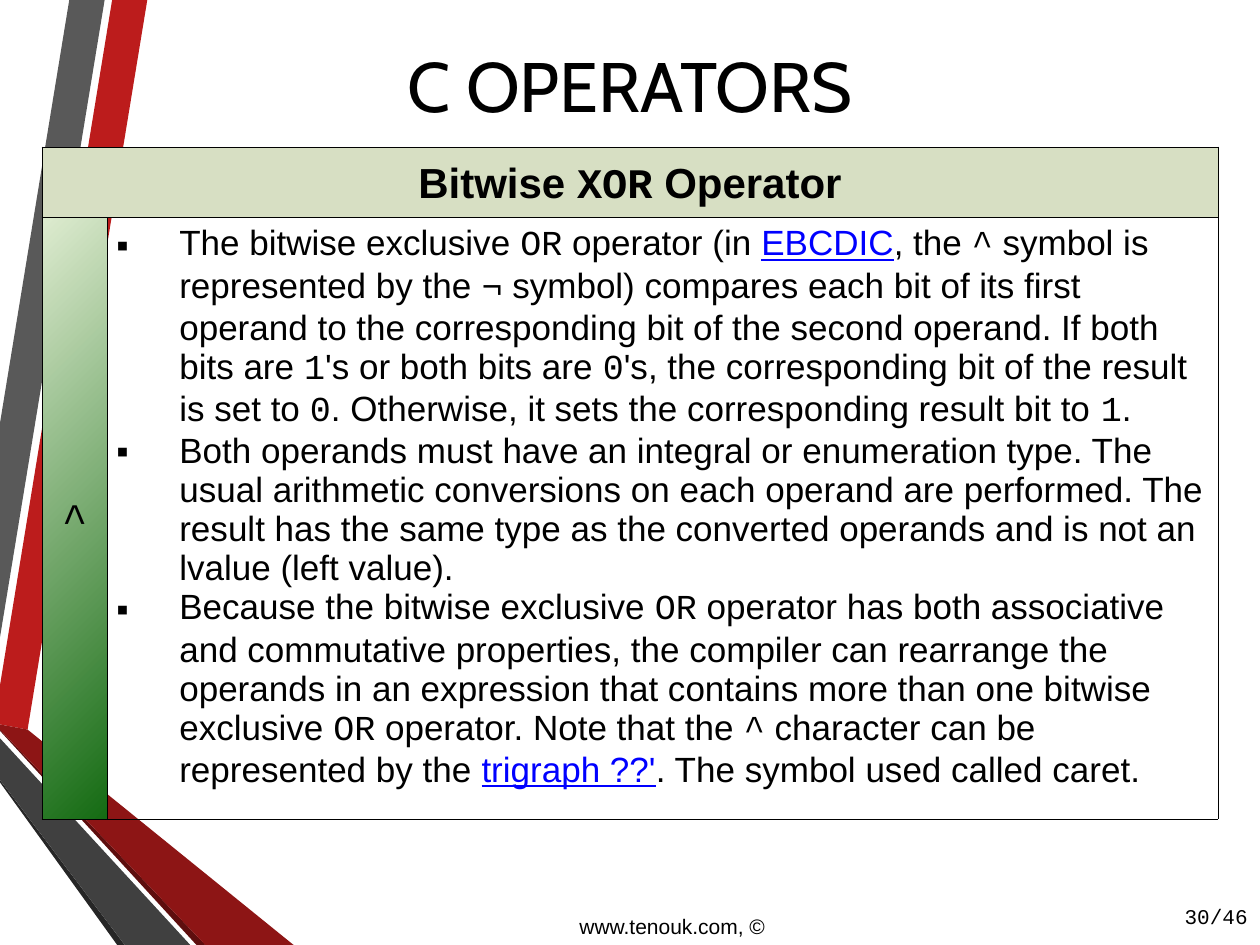
from dataclasses import dataclass

from lxml.etree import SubElement
from pptx import Presentation
from pptx.dml.color import RGBColor
from pptx.enum.text import MSO_ANCHOR, PP_ALIGN
from pptx.oxml import parse_xml
from pptx.oxml.ns import nsdecls, qn
from pptx.util import Pt


@dataclass(frozen=True)
class Theme:
    text: str = "000000"
    link: str = "0000FF"
    header: str = "D7DFC3"
    symbol_light: str = "DDEBCF"
    symbol_dark: str = "156B13"
    title_font: str = "Cabin"
    body_font: str = "Arial"
    code_font: str = "Courier New"
    title_size: int = 40
    header_size: int = 24
    body_size: int = 20
    footer_size: int = 12
    border_width: float = 0.45


THEME = Theme()

# Colour and outline of each ribbon, in points from the slide's top left corner
RIBBONS = [
    ("BC1C1C", [(0, 391.7), (0, 414), (15.8, 416.9), (84.2, 0), (64.1, 0)]),
    ("595959", [(59.8, 0), (39.6, 0), (0, 241.9), (0, 364.3)]),
    ("262626", [(0, 445.7), (0, 447.1), (67, 540), (71.3, 540)]),
    ("5E0E0E", [(0, 416.9), (0, 417.6), (112.3, 540), (117.4, 540)]),
    ("8D1515", [(0, 416.9), (117.4, 540), (167.8, 540), (15.8, 416.9), (0, 414)]),
    ("404040", [(0, 445.7), (71.3, 540), (108.7, 540), (0, 421.9)]),
]

# Backticks enclose code, tildes enclose links
HEADER = "Bitwise `XOR` Operator"
SYMBOL = "`^`"
POINTS = [
    "The bitwise exclusive `OR` operator (in ~EBCDIC~, the `^` symbol is represented "
    "by the `¬` symbol) compares each bit of its first operand to the corresponding "
    "bit of the second operand. If both bits are `1`'s or both bits are `0`'s, the "
    "corresponding bit of the result is set to `0`. Otherwise, it sets the "
    "corresponding result bit to `1`.",
    "Both operands must have an integral or enumeration type. The usual arithmetic "
    "conversions on each operand are performed. The result has the same type as the "
    "converted operands and is not an lvalue (left value).",
    "Because the bitwise exclusive `OR` operator has both associative and commutative "
    "properties, the compiler can rearrange the operands in an expression that "
    "contains more than one bitwise exclusive `OR` operator. Note that the `^` "
    "character can be represented by the ~trigraph ??'~. The symbol used called caret.",
]


def color(value):
    return RGBColor.from_string(value)


def style_run(run, font, size, bold=False, fill=THEME.text):
    run.font.name = font
    run.font.size = Pt(size)
    run.font.bold = bold
    run.font.color.rgb = color(fill)


def write_marked(paragraph, marked, size, bold=False):
    """Write text in which backticks enclose code and tildes enclose links."""
    for code_index, part in enumerate(marked.split("`")):
        font = THEME.code_font if code_index % 2 else THEME.body_font
        for link_index, piece in enumerate(part.split("~")):
            if not piece:
                continue
            is_link = link_index % 2 == 1
            run = paragraph.add_run()
            run.text = piece
            style_run(run, font, size, bold, THEME.link if is_link else THEME.text)
            run.font.underline = is_link


def add_bullet(paragraph, indent):
    properties = paragraph._p.get_or_add_pPr()
    properties.set("marL", str(indent))
    properties.set("indent", str(-indent))
    bullet_color = SubElement(properties, qn("a:buClr"))
    SubElement(bullet_color, qn("a:srgbClr")).set("val", THEME.text)
    SubElement(properties, qn("a:buFont")).set("typeface", THEME.body_font)
    SubElement(properties, qn("a:buChar")).set("char", "▪")


def add_borders(cell):
    properties = cell._tc.get_or_add_tcPr()
    for index, side in enumerate(("lnL", "lnR", "lnT", "lnB")):
        border = parse_xml(
            f'<a:{side} {nsdecls("a")} w="{Pt(THEME.border_width)}"><a:solidFill>'
            f'<a:srgbClr val="{THEME.text}"/></a:solidFill></a:{side}>'
        )
        properties.insert(index, border)


def add_ribbons(slide):
    for fill, outline in RIBBONS:
        start, *others = [(Pt(x), Pt(y)) for x, y in outline]
        builder = slide.shapes.build_freeform(*start)
        builder.add_line_segments(others, close=True)
        ribbon = builder.convert_to_shape()
        ribbon.shadow.inherit = False
        ribbon.fill.solid()
        ribbon.fill.fore_color.rgb = color(fill)
        ribbon.line.fill.background()


def add_label(slide, box, text, font, size, alignment, anchor):
    shape = slide.shapes.add_textbox(*map(Pt, box))
    frame = shape.text_frame
    frame.word_wrap = True
    frame.vertical_anchor = anchor
    frame.text = text
    paragraph = frame.paragraphs[0]
    paragraph.alignment = alignment
    style_run(paragraph.runs[0], font, size)


def add_operator_table(slide, box, symbol_width, header_height):
    """Place a header row above the operator symbol and its description."""
    left, top, width, height = box
    table = slide.shapes.add_table(2, 2, *map(Pt, box)).table
    table.first_row = table.horz_banding = False
    table.columns[0].width = Pt(symbol_width)
    table.columns[1].width = Pt(width - symbol_width)
    table.rows[0].height = Pt(header_height)
    table.rows[1].height = Pt(height - header_height)

    header, symbol, description = table.cell(0, 0), table.cell(1, 0), table.cell(1, 1)
    header.merge(table.cell(0, 1))
    for cell in table.iter_cells():
        cell.margin_left = cell.margin_right = Pt(5)
        cell.margin_top = cell.margin_bottom = Pt(3.6)
        add_borders(cell)

    header.fill.solid()
    header.fill.fore_color.rgb = color(THEME.header)
    symbol.fill.gradient()
    symbol.fill.gradient_angle = 315
    for stop, value in zip(
        symbol.fill.gradient_stops, (THEME.symbol_light, THEME.symbol_dark)
    ):
        stop.color.rgb = color(value)
    symbol.vertical_anchor = MSO_ANCHOR.MIDDLE
    description.fill.background()

    for cell, marked, bold in ((header, HEADER, True), (symbol, SYMBOL, False)):
        paragraph = cell.text_frame.paragraphs[0]
        paragraph.alignment = PP_ALIGN.CENTER
        paragraph.line_spacing = 1.15
        write_marked(paragraph, marked, THEME.header_size, bold)

    frame = description.text_frame
    for index, point in enumerate(POINTS):
        paragraph = frame.add_paragraph() if index else frame.paragraphs[0]
        add_bullet(paragraph, Pt(36))
        write_marked(paragraph, point, THEME.body_size)


def main():
    presentation = Presentation()
    presentation.slide_width, presentation.slide_height = Pt(720), Pt(540)
    slide = presentation.slides.add_slide(presentation.slide_layouts[6])
    add_ribbons(slide)
    add_operator_table(slide, (24, 84, 672, 376.5), symbol_width=37.5, header_height=33)
    add_label(slide, (36, 18, 648, 60.5), "C OPERATORS", THEME.title_font,
              THEME.title_size, PP_ALIGN.CENTER, MSO_ANCHOR.MIDDLE)
    add_label(slide, (660, 509, 60, 29), "30/46", THEME.code_font,
              THEME.footer_size, PP_ALIGN.RIGHT, MSO_ANCHOR.MIDDLE)
    add_label(slide, (324, 518.4, 126, 21.6), "www.tenouk.com, ©", THEME.body_font,
              THEME.footer_size, PP_ALIGN.LEFT, MSO_ANCHOR.TOP)
    presentation.save("out.pptx")


if __name__ == "__main__":
    main()
